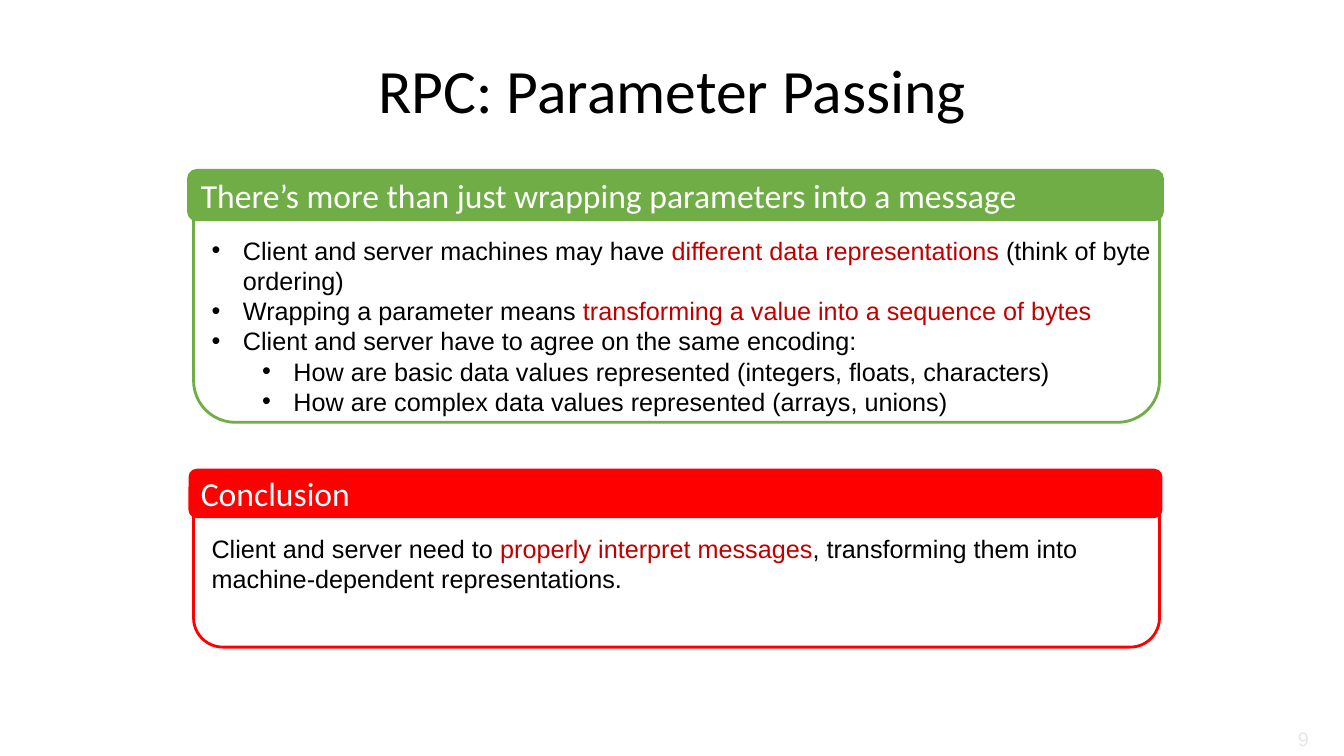
from dataclasses import dataclass

import pptx
import pptx.dml.color
import pptx.enum.shapes
import pptx.enum.text
import pptx.oxml.ns
import pptx.util
from lxml import etree

Inches = pptx.util.Inches
ALIGN = pptx.enum.text.PP_ALIGN
ANCHOR = pptx.enum.text.MSO_ANCHOR


@dataclass(frozen=True)
class Theme:
    heading_font: str = "Calibri"
    body_font: str = "Arial"
    title_size: int = 44
    header_size: int = 24
    body_size: int = 18
    number_size: int = 14
    text: str = "000000"
    highlight: str = "C00000"
    white: str = "FFFFFF"
    green: str = "70AD47"
    red: str = "FF0000"
    pale: str = "E7E6E6"


def rgb(value):
    return pptx.dml.color.RGBColor.from_string(value)


def write(paragraph, text, *, font, size, color, highlight=None,
          align=ALIGN.LEFT, line_spacing=1.0):
    """Fill a paragraph; parts between asterisks take the highlight colour."""
    paragraph.alignment = align
    paragraph.line_spacing = line_spacing
    paragraph.space_before = paragraph.space_after = pptx.util.Pt(0)
    for index, part in enumerate(text.split("*")):
        if part:
            run = paragraph.add_run()
            run.text = part
            run.font.name = font
            run.font.size = pptx.util.Pt(size)
            run.font.color.rgb = rgb(highlight if index % 2 else color)


class SlideBuilder:
    def __init__(self, slide, theme):
        self.slide = slide
        self.theme = theme

    def place(self, shape, left, top, width, height):
        shape.left, shape.top = Inches(left), Inches(top)
        shape.width, shape.height = Inches(width), Inches(height)

    def title(self, text, *box):
        title = self.slide.shapes.title
        self.place(title, *box)
        title.text_frame.vertical_anchor = ANCHOR.MIDDLE
        write(title.text_frame.paragraphs[0], text, font=self.theme.heading_font,
              size=self.theme.title_size, color=self.theme.text,
              align=ALIGN.CENTER, line_spacing=0.9)

    def rounded(self, fill, line, *box):
        bar = self.slide.shapes.add_shape(
            pptx.enum.shapes.MSO_SHAPE.ROUNDED_RECTANGLE, *map(Inches, box))
        bar.shadow.inherit = False
        bar.fill.solid()
        bar.fill.fore_color.rgb = rgb(fill)
        if line:
            bar.line.color.rgb = rgb(line)
            bar.line.width = pptx.util.Pt(2)
        else:
            bar.line.fill.background()
        return bar

    def panel(self, heading, color, top, height, header_top, header_line=None):
        self.rounded(self.theme.white, color, 1.92, top, 9.58, height)
        header = self.rounded(color, header_line, 1.87, header_top, 9.66, 0.49)
        header.text_frame.vertical_anchor = ANCHOR.MIDDLE
        write(header.text_frame.paragraphs[0], heading, font=self.theme.heading_font,
              size=self.theme.header_size, color=self.theme.white)

    def body_text(self, paragraph, text):
        write(paragraph, text, font=self.theme.body_font, size=self.theme.body_size,
              color=self.theme.text, highlight=self.theme.highlight)

    def bullets(self, items, *box):
        body = self.slide.placeholders[1]
        self.place(body, *box)
        # Bring the list in front of its panel
        body.element.getparent().append(body.element)
        frame = body.text_frame
        frame.auto_size = pptx.enum.text.MSO_AUTO_SIZE.NONE
        frame.vertical_anchor = ANCHOR.TOP
        for index, (level, text) in enumerate(items):
            paragraph = frame.add_paragraph() if index else frame.paragraphs[0]
            paragraph.level = level
            self.body_text(paragraph, text)
            properties = paragraph._p.get_or_add_pPr()
            properties.set("marL", str(Inches(0.31 + 0.5 * level)))
            properties.set("indent", str(Inches(-0.31)))
            for tag, key, value in (("a:buFont", "typeface", self.theme.body_font),
                                    ("a:buChar", "char", "•")):
                etree.SubElement(properties, pptx.oxml.ns.qn(tag)).set(key, value)

    def text_box(self, *box):
        frame = self.slide.shapes.add_textbox(*map(Inches, box)).text_frame
        frame.word_wrap = True
        return frame

    def statement(self, text, *box):
        self.body_text(self.text_box(*box).paragraphs[0], text)

    def page_number(self, text, *box):
        frame = self.text_box(*box)
        frame.vertical_anchor = ANCHOR.MIDDLE
        write(frame.paragraphs[0], text, font=self.theme.body_font,
              size=self.theme.number_size, color=self.theme.pale, align=ALIGN.RIGHT)


def main():
    presentation = pptx.Presentation()
    presentation.slide_width = Inches(13.33)
    presentation.slide_height = Inches(7.5)
    theme = Theme()
    builder = SlideBuilder(
        presentation.slides.add_slide(presentation.slide_layouts[1]), theme)

    builder.title("RPC: Parameter Passing", 2.17, 0.35, 9, 1.15)

    # Parameter wrapping
    builder.panel("There’s more than just wrapping parameters into a message",
                  theme.green, 1.71, 2.48, 1.69, header_line=theme.green)
    encoding_points = [
        (0, "Client and server machines may have *different data representations "
            "*(think of byte ordering)"),
        (0, "Wrapping a parameter means *transforming a value into a sequence of bytes*"),
        (0, "Client and server have to agree on the same encoding:"),
        (1, "How are basic data values represented (integers, floats, characters)"),
        (1, "How are complex data values represented (arrays, unions)"),
    ]
    builder.bullets(encoding_points, 2, 2.28, 9.58, 1.92)

    # Conclusion
    builder.panel("Conclusion", theme.red, 4.68, 1.74, 4.65)
    builder.statement("Client and server need to *properly interpret messages*, "
                      "transforming them into machine-dependent representations.",
                      2, 5.24, 9.58, 0.71)

    # Page number
    builder.page_number("9", 12.08, 7.16, 1, 0.34)

    presentation.save("out.pptx")


if __name__ == "__main__":
    main()
